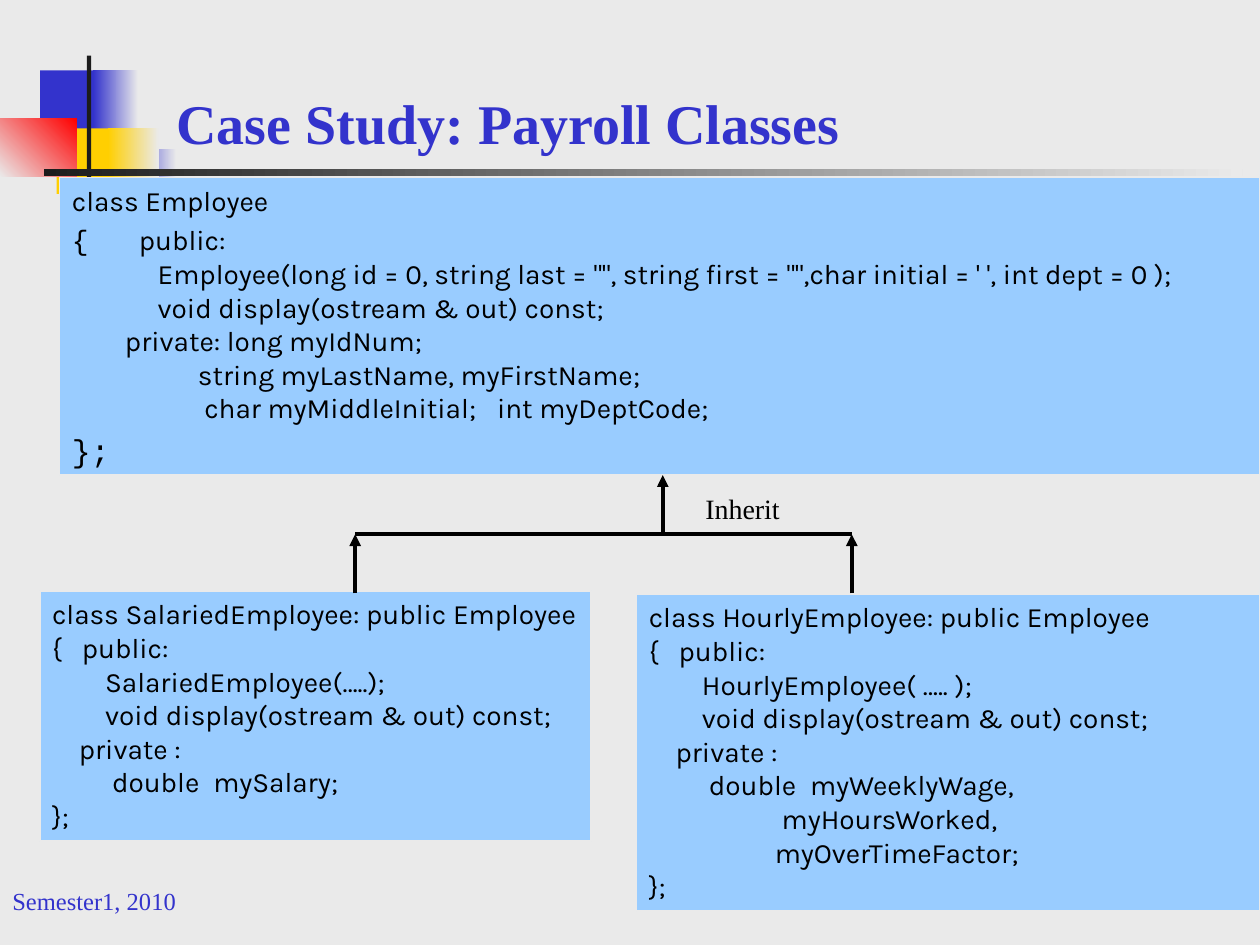
from lxml import etree
from pptx import Presentation
from pptx.dml.color import RGBColor
from pptx.enum.shapes import MSO_CONNECTOR, MSO_SHAPE
from pptx.enum.text import MSO_ANCHOR, PP_ALIGN
from pptx.oxml.ns import qn
from pptx.util import Cm, Pt

RECT, STRAIGHT = MSO_SHAPE.RECTANGLE, MSO_CONNECTOR.STRAIGHT
TOP, BOTTOM = MSO_ANCHOR.TOP, MSO_ANCHOR.BOTTOM
LEFT, CENTER = PP_ALIGN.LEFT, PP_ALIGN.CENTER
CODE, MONO, SERIF = "Karla", "Courier New", "Times New Roman"
COLORS = {"back": "EAEAEA", "blue": "3333CC", "yellow": "FFCF01", "red": "FF0000",
          "dark": "1C1C1C", "box": "99CCFF", "black": "000000"}

DECOR = [
    ((2.54, 3, 1.02, 1.32), ("blue", "back"), 0),
    ((0.81, 1.42, 1.22, 1.32), ("blue",), 0),
    ((1.88, 1.42, 0.91, 1.32), ("blue", "back"), 0),
    ((1.14, 2.59, 1.17, 1.32), ("yellow",), 0),
    ((2.18, 2.59, 1.02, 1.32), ("yellow", "back"), 0),
    ((0, 2.39, 1.55, 1.17), ("back", "red"), 45),
    ((1.75, 1.12, 0.09, 2.92), ("dark",), 0),
    ((0.89, 3.4, 24.16, 0.15), ("dark", "back"), 0),
]

# Each code line: text, start of the line, position of its tab (cm).
EMPLOYEE = [
    ("class Employee", 0, 0),
    ("{\tpublic:", 0, 1.35),
    ("Employee(long id = 0, string last = \"\", string first = \"\","
     "char initial = ' ', int dept = 0 );", 1.73, 0),
    ("void display(ostream & out) const;", 1.73, 0),
    ("private: long myIdNum;", 1.07, 0),
    ("string myLastName, myFirstName;", 2.54, 0),
    ("char myMiddleInitial;\tint myDeptCode;", 2.67, 8.57),
    ("};", 0, 0),
]


def derived_class(name, arguments, members):
    """Return the code lines of a class derived from Employee."""
    return [(f"class {name}: public Employee", 0, 0),
            ("{\tpublic:", 0, 0.6),
            (f"{name}({arguments});", 1.07, 0),
            ("void display(ostream & out) const;", 1.07, 0),
            ("private :", 0.54, 0),
            *members,
            ("};", 0, 0)]


def rgb(name):
    """Return a named colour."""
    return RGBColor.from_string(COLORS[name])


def style_run(r, font, size, color="black", bold=False):
    """Format one run."""
    r.font.name, r.font.size, r.font.bold = font, Pt(size), bold
    r.font.color.rgb = rgb(color)


def add_rect(s, box, colors, angle=0):
    """Add a rectangle with a plain or two-colour fill."""
    sp = s.shapes.add_shape(RECT, *map(Cm, box))
    sp.shadow.inherit = False
    sp.line.fill.background()
    if len(colors) == 1:
        sp.fill.solid()
        sp.fill.fore_color.rgb = rgb(colors[0])
    else:
        sp.fill.gradient()
        sp.fill.gradient_angle = angle
        for stop, color in zip(sp.fill.gradient_stops, colors):
            stop.color.rgb = rgb(color)
    return sp


def add_code(s, box, lines, line_width=1):
    """Add a code box and return its paragraphs."""
    sp = add_rect(s, box, ("box",))
    sp.line.color.rgb, sp.line.width = rgb("back"), Pt(line_width)
    tf = sp.text_frame
    tf.word_wrap, tf.vertical_anchor = True, TOP
    for i, (text, start, tab) in enumerate(lines):
        p = tf.add_paragraph() if i else tf.paragraphs[0]
        p.alignment = LEFT
        margin = tab or start
        pPr = p._p.get_or_add_pPr()
        pPr.set("marL", str(Cm(margin)))
        pPr.set("indent", str(Cm(start - margin)))
        head, gap, rest = text.partition("\t")
        for part in filter(None, (head, gap + rest)):
            r = p.add_run()
            r.text = part
            style_run(r, CODE, 16)
    return tf.paragraphs


def add_label(s, box, text, size, color, align=LEFT, wrap=True):
    """Add a plain text box."""
    tf = s.shapes.add_textbox(*map(Cm, box)).text_frame
    tf.word_wrap = wrap
    p = tf.paragraphs[0]
    p.text, p.alignment = text, align
    style_run(p.runs[0], SERIF, size, color)


def add_line(s, start, end, arrow=True):
    """Add a black line, with an arrowhead at its end if wanted."""
    c = s.shapes.add_connector(STRAIGHT, *map(Cm, start + end))
    c.line.color.rgb, c.line.width = rgb("black"), Pt(2.25)
    if arrow:
        etree.SubElement(c.line._get_or_add_ln(), qn("a:tailEnd"), type="triangle")
    etree.SubElement(c._element.spPr, qn("a:effectLst"))


def set_title(s, box, text):
    """Place and format the title."""
    sp = s.shapes.title
    sp.left, sp.top, sp.width, sp.height = map(Cm, box)
    tf = sp.text_frame
    tf.text, tf.vertical_anchor = text, BOTTOM
    p = tf.paragraphs[0]
    p.alignment = LEFT
    style_run(p.runs[0], SERIF, 32, "blue", True)


def main():
    """Build the slide."""
    prs = Presentation()
    prs.slide_width, prs.slide_height = Cm(25.4), Cm(19.05)
    s = prs.slides.add_slide(prs.slide_layouts[5])
    s.background.fill.solid()
    s.background.fill.fore_color.rgb = rgb("back")

    for box, colors, angle in DECOR:
        add_rect(s, box, colors, angle)
    set_title(s, (3.3, 0.53, 21.31, 2.74), "Case Study: Payroll Classes")

    paragraphs = add_code(s, (1.2, 3.58, 24.2, 6), EMPLOYEE, 0.75)
    for i, size in ((0, 16), (1, 16), (-1, 18)):
        paragraphs[i].space_before = Pt(size * 0.2)
        if i:
            style_run(paragraphs[i].runs[0], MONO, size)

    add_code(s, (0.8, 11.91, 11.12, 5.05), derived_class(
        "SalariedEmployee", "…..", [("double\tmySalary;", 1.21, 3.25)]))
    add_code(s, (12.83, 11.97, 12.57, 6.4), derived_class(
        "HourlyEmployee", " ….. ", [("double\tmyWeeklyWage,", 1.21, 3.25),
                                    ("myHoursWorked,", 2.68, 0),
                                    ("myOverTimeFactor;", 2.54, 0)]))

    salaried_x, hourly_x, base_x = 7.16, 17.17, 13.36
    base_y, bar_y, derived_y = 9.58, 10.77, 11.96
    add_line(s, (salaried_x, bar_y), (hourly_x, bar_y), arrow=False)
    for x in (salaried_x, hourly_x):
        add_line(s, (x, derived_y), (x, bar_y))
    add_line(s, (base_x, bar_y), (base_x, base_y))

    add_label(s, (13.97, 9.78, 2, 0.94), "Inherit", 16, "black", CENTER, wrap=False)
    add_label(s, (0, 17.73, 5.92, 1.32), "Semester1, 2010", 14, "blue")
    prs.save("out.pptx")


main()
